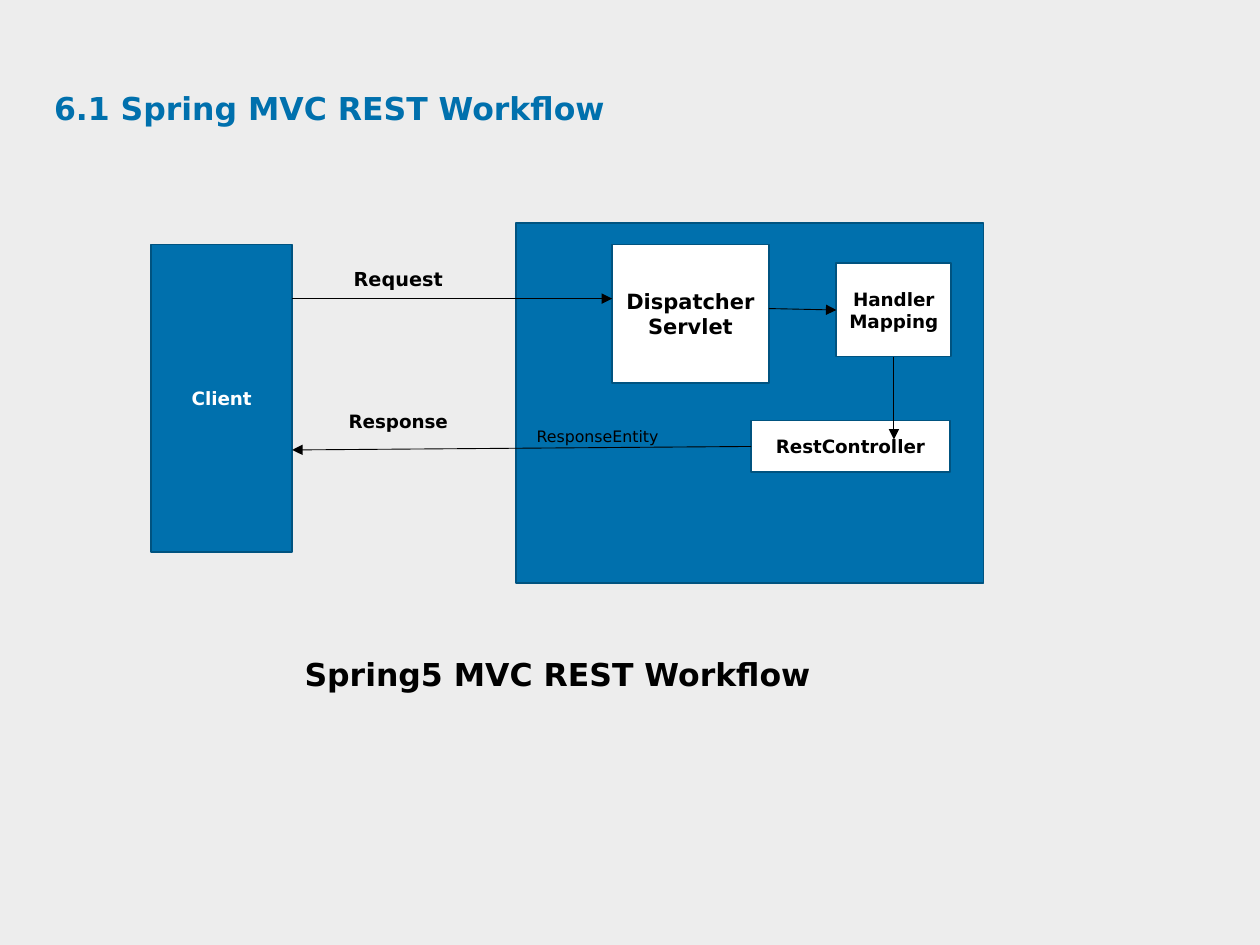
"""Build the Spring MVC REST workflow slide."""
import pptx
import pptx.dml.color
import pptx.enum.shapes
import pptx.enum.text
import pptx.util
from lxml import etree
from pptx.dml.color import RGBColor
from pptx.util import Cm, Pt

FONT = "DejaVu Sans"
GREY = RGBColor(0xED, 0xED, 0xED)
BLUE = RGBColor(0x00, 0x70, 0xAD)
NAVY = RGBColor(0x00, 0x53, 0x80)
WHITE = RGBColor(0xFF, 0xFF, 0xFF)
BLACK = RGBColor(0x00, 0x00, 0x00)

TITLE = ("6.1 Spring MVC REST Workflow", (1.09, 1.88, 23.09, 1.27), 18, True, BLUE)
BOXES = [
    ("server", "", (10.41, 4.5, 9.42, 7.26), BLUE, BLACK, 12),
    ("dispatcher", "Dispatcher Servlet", (12.34, 4.93, 3.16, 2.79), WHITE, BLACK, 12),
    ("handler", "Handler Mapping", (16.86, 5.31, 2.32, 1.88), WHITE, BLACK, 10.5),
    ("controller", "RestController", (15.14, 8.48, 4.01, 1.04), WHITE, BLACK, 10.5),
    ("client", "Client", (3.05, 4.93, 2.84, 6.2), BLUE, WHITE, 10.5),
]
ARROWS = [
    ((5.89, 6.02), (12.34, 6.02), None, None),
    ((15.5, 6.22), (16.86, 6.25), None, ("handler", 1)),
    ((18.02, 7.19), (18.02, 8.86), ("handler", 2), None),
    ((15.14, 9.0), (5.89, 9.07), ("controller", 1), None),
]
LABELS = [
    ("ResponseEntity", (10.57, 8.48, 3.76, 0.64), 9, False, BLACK),
    ("Request", (6.88, 5.26, 2.84, 0.74), 11, True, BLACK),
    ("Response", (6.78, 8.15, 2.95, 0.71), 10.5, True, BLACK),
    ("Spring5 MVC REST Workflow", (5.89, 13.08, 12.67, 1.02), 18, True, BLACK),
]


def write(sp, text, size, bold, color):
    tf = sp.text_frame
    tf.word_wrap = True
    p = tf.paragraphs[0]
    p.text = text
    p.font.name, p.font.size, p.font.bold = FONT, Pt(size), bold
    p.font.color.rgb = color
    return tf


def add_label(s, text, at, size, bold, color):
    return write(s.shapes.add_textbox(*map(Cm, at)), text, size, bold, color)


def add_box(s, text, at, fill, color, size):
    sp = s.shapes.add_shape(pptx.enum.shapes.MSO_SHAPE.RECTANGLE, *map(Cm, at))
    sp.shadow.inherit = False
    sp.fill.solid()
    sp.fill.fore_color.rgb = fill
    sp.line.color.rgb = NAVY
    sp.line.width = Pt(1)
    if text:
        tf = write(sp, text, size, True, color)
        tf.vertical_anchor = pptx.enum.text.MSO_ANCHOR.MIDDLE
        tf.paragraphs[0].alignment = pptx.enum.text.PP_ALIGN.CENTER
    return sp


def add_arrow(s, boxes, start, end, begin_at, end_at):
    kind = pptx.enum.shapes.MSO_CONNECTOR.STRAIGHT
    c = s.shapes.add_connector(kind, *map(Cm, start + end))
    if begin_at:
        c.begin_connect(boxes[begin_at[0]], begin_at[1])
    if end_at:
        c.end_connect(boxes[end_at[0]], end_at[1])
    c.line.color.rgb = BLACK
    c.line.width = Pt(0.5)
    ns = pptx.oxml.ns.qn
    etree.SubElement(c.line._get_or_add_ln(), ns("a:tailEnd"), type="triangle")
    etree.SubElement(c._element.spPr, ns("a:effectLst"))


def main():
    prs = pptx.Presentation()
    prs.slide_width, prs.slide_height = Cm(25.4), Cm(19.05)
    s = prs.slides.add_slide(prs.slide_layouts[6])
    s.background.fill.solid()
    s.background.fill.fore_color.rgb = GREY

    tf = add_label(s, *TITLE)
    tf.margin_left = tf.margin_top = tf.margin_right = tf.margin_bottom = 0
    tf.paragraphs[0].line_spacing = 0.9

    boxes = {name: add_box(s, *box) for name, *box in BOXES}
    for arrow in ARROWS:
        add_arrow(s, boxes, *arrow)
    for label in LABELS:
        add_label(s, *label).auto_size = pptx.enum.text.MSO_AUTO_SIZE.SHAPE_TO_FIT_TEXT
    prs.save("out.pptx")


if __name__ == "__main__":
    main()
